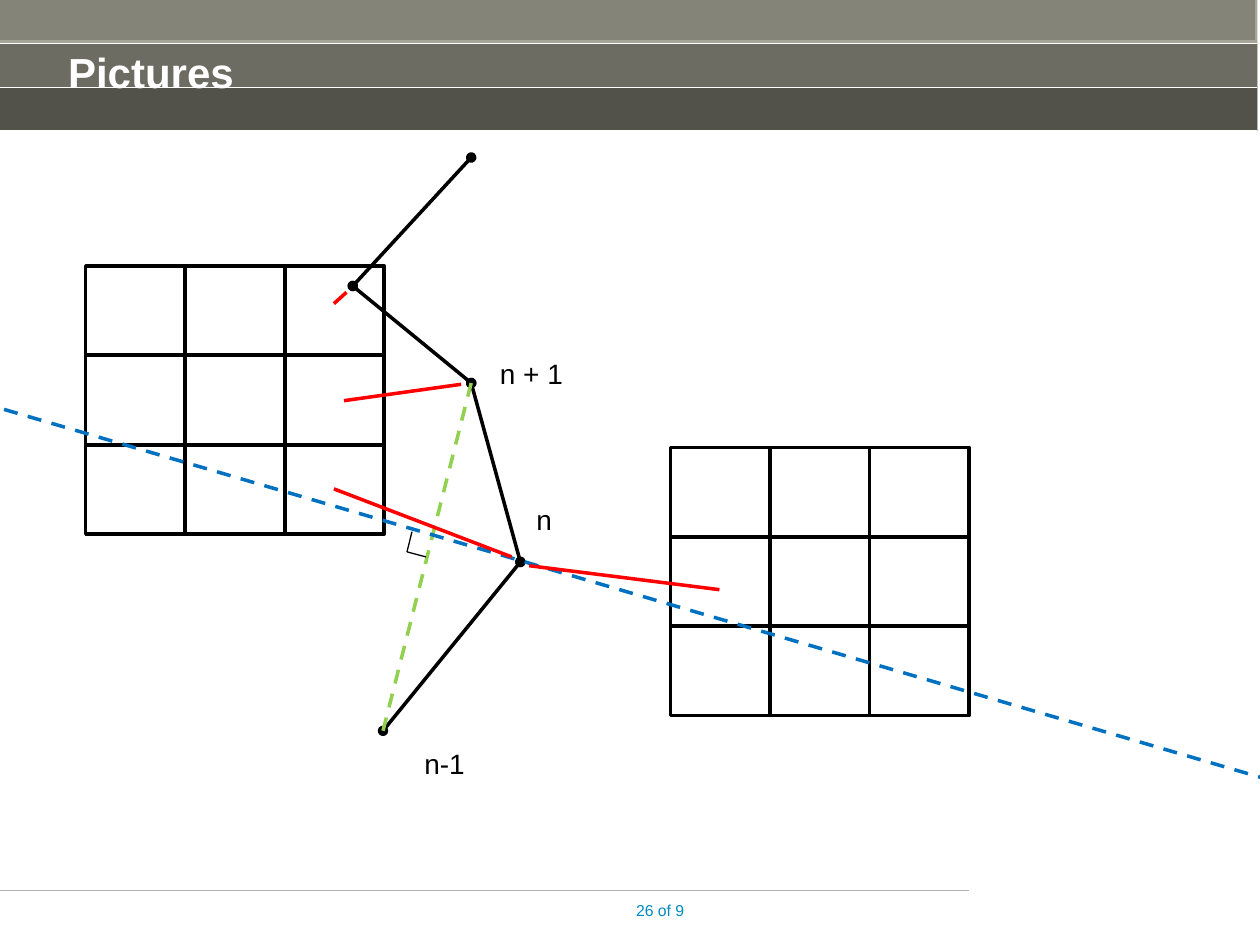
import pptx
import pptx.util
import pptx.dml.color
import pptx.enum.dml
import pptx.enum.shapes
import pptx.enum.text
import pptx.oxml.ns
from lxml import etree

SLIDE_W, SLIDE_H = 10, 7.5
COLORS = {
    "banner": "A6A698", "black": "000000", "white": "FFFFFF", "rule": "B2B2B2",
    "number": "008BBF", "match": "FF0000", "chord": "92D050", "normal": "0070C0",
}

# Content: heading band, (left, top, width, height, colour, opacity %)
BAND_W, BAND_H = 9.98, 1.04
THIRD = BAND_H / 3
BANDS = [
    (0, 0, BAND_W, BAND_H, "banner", 100),
    (-0.02, -0.03, BAND_W, THIRD, "black", 20),
    (0, THIRD, BAND_W, THIRD, "black", 35),
    (0, 2 * THIRD, BAND_W, THIRD, "black", 50),
]

# Content: pixel grids and the contour that runs between them
GRID_ORIGINS = [(0.68, 2.11), (5.32, 3.55)]
GRID_SIZE, CELL_W, CELL_H = 3, 0.79, 0.71
CONTOUR = [(3.04, 5.8), (4.13, 4.46), (3.74, 3.04), (2.8, 2.27), (3.74, 1.25)]
PREVIOUS, CURRENT, FOLLOWING = CONTOUR[:3]
CORNER = (3.23, 4.38)

# Content: (start, end, colour, width, dashed)
GUIDES = [
    (FOLLOWING, PREVIOUS, "chord", 2, True),
    ((10.28, 6.25), (0, 3.24), "normal", 2, True),
    ((3.27, 4.22), CORNER, "black", 0.75, False),
    ((3.38, 4.42), CORNER, "black", 0.75, False),
    ((2.65, 3.88), (4.06, 4.42), "match", 2, False),
    ((2.73, 3.18), (3.66, 3.05), "match", 2, False),
    ((2.65, 2.41), (2.75, 2.32), "match", 2, False),
    ((4.2, 4.49), (5.71, 4.68), "match", 2, False),
]

# Content: (text, left, top, width, height, insets, size, colour, bold, alignment)
LEFT, RIGHT = pptx.enum.text.PP_ALIGN.LEFT, pptx.enum.text.PP_ALIGN.RIGHT
LABEL_INSETS = (0.1, 0.05)
TEXTS = [
    ("Pictures", 0.54, 0.28, 9.21, 0.79, (0, 0.09), 24, "white", True, LEFT),
    ("26 of 9", 4.92, 7.15, 0.51, 0.35, (0, 0), 9, "number", False, RIGHT),
    ("n-1", 3.27, 5.88, 0.54, 0.37, LABEL_INSETS, 16, "black", False, LEFT),
    ("n", 4.16, 3.94, 0.54, 0.37, LABEL_INSETS, 16, "black", False, LEFT),
    ("n + 1", 3.87, 2.78, 0.84, 0.37, LABEL_INSETS, 16, "black", False, LEFT),
]


def inches(*lengths):
    return [pptx.util.Inches(length) for length in lengths]


def color(name):
    return pptx.dml.color.RGBColor.from_string(COLORS[name])


def add_child(parent, tag, **attributes):
    return etree.SubElement(parent, pptx.oxml.ns.qn(tag), **attributes)


def add_rectangle(shapes, *box):
    rectangle = shapes.add_shape(pptx.enum.shapes.MSO_SHAPE.RECTANGLE, *inches(*box))
    rectangle.shadow.inherit = False
    return rectangle


def add_band(shapes, left, top, width, height, name, opacity):
    band = add_rectangle(shapes, left, top, width, height)
    band.fill.solid()
    band.fill.fore_color.rgb = color(name)
    band.line.fill.background()
    if opacity < 100:
        fill = band.fill._xPr.find(pptx.oxml.ns.qn("a:solidFill"))
        add_child(fill[0], "a:alpha", val=str(opacity * 1000))


def add_line(shapes, start, end, name, width, dashed=False, dots=False):
    line = shapes.add_connector(
        pptx.enum.shapes.MSO_CONNECTOR.STRAIGHT, *inches(*start, *end))
    line.line.color.rgb = color(name)
    line.line.width = pptx.util.Pt(width)
    if dashed:
        line.line.dash_style = pptx.enum.dml.MSO_LINE.DASH
    if dots:
        for tag in ("a:headEnd", "a:tailEnd"):
            add_child(line.line._get_or_add_ln(), tag, type="oval")
    add_child(line._element.spPr, "a:effectLst")


def add_grid(shapes, left, top):
    grid = shapes.add_group_shape()
    for row in range(GRID_SIZE):
        for column in range(GRID_SIZE):
            cell = add_rectangle(grid.shapes, left + column * CELL_W,
                                 top + row * CELL_H, CELL_W, CELL_H)
            cell.fill.background()
            cell.line.color.rgb = color("black")
            cell.line.width = pptx.util.Pt(2)


def add_text(shapes, text, left, top, width, height, insets, size, name, bold, align):
    frame = shapes.add_textbox(*inches(left, top, width, height)).text_frame
    frame.word_wrap = True
    frame.margin_left, frame.margin_top = inches(*insets)
    frame.margin_right, frame.margin_bottom = inches(insets[0], 0.05 if insets[1] else 0)
    frame.text = text
    paragraph = frame.paragraphs[0]
    paragraph.alignment = align
    font = paragraph.runs[0].font
    font.name, font.size, font.bold = "Arial", pptx.util.Pt(size), bold
    font.color.rgb = color(name)


def main():
    deck = pptx.Presentation()
    deck.slide_width, deck.slide_height = inches(SLIDE_W, SLIDE_H)
    shapes = deck.slides.add_slide(deck.slide_layouts[6]).shapes

    # Heading band and footer rule
    for band in BANDS:
        add_band(shapes, *band)
    for step in (1, 2, 3):
        add_line(shapes, (0, step * THIRD), (BAND_W, step * THIRD), "white", 0.75)
    add_line(shapes, (7.69, 7.07), (0, 7.07), "rule", 0.75)

    # Grids, contour and guides
    for origin in GRID_ORIGINS:
        add_grid(shapes, *origin)
    for start, end in zip(CONTOUR, CONTOUR[1:]):
        add_line(shapes, start, end, "black", 2, dots=True)
    for guide in GUIDES:
        add_line(shapes, *guide)

    # Title, slide number and point labels
    for text in TEXTS:
        add_text(shapes, *text)

    deck.save("out.pptx")


if __name__ == "__main__":
    main()
